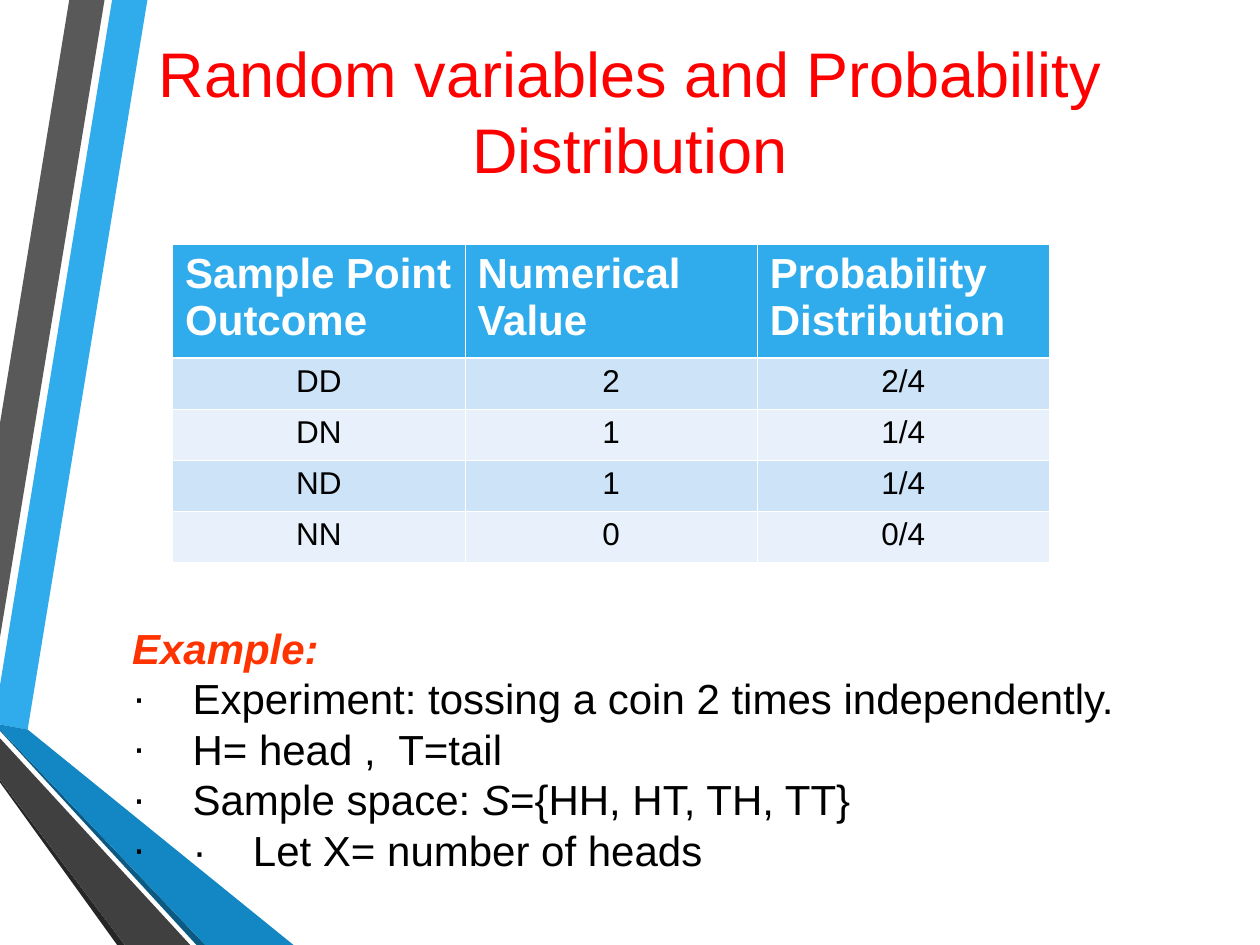
from lxml import etree
from pptx import Presentation
from pptx.dml.color import RGBColor
from pptx.enum.text import MSO_ANCHOR, MSO_AUTO_SIZE, PP_ALIGN
from pptx.oxml.ns import qn
from pptx.util import Inches, Pt

MIDDLE, BOTTOM = MSO_ANCHOR.MIDDLE, MSO_ANCHOR.BOTTOM
CENTER, JUSTIFY, LEFT = PP_ALIGN.CENTER, PP_ALIGN.JUSTIFY, PP_ALIGN.LEFT
NO_AUTOFIT = MSO_AUTO_SIZE.NONE

RED = RGBColor(0xFF, 0x00, 0x00)
ORANGE = RGBColor(0xFF, 0x33, 0x00)
BLACK = RGBColor(0x00, 0x00, 0x00)
WHITE = RGBColor(0xFF, 0xFF, 0xFF)
SKY = RGBColor(0x30, 0xAC, 0xEC)
BLUE = RGBColor(0x12, 0x87, 0xC3)
NAVY = RGBColor(0x0C, 0x5A, 0x82)
GRAY = RGBColor(0x59, 0x59, 0x59)
DARK_GRAY = RGBColor(0x40, 0x40, 0x40)
CHARCOAL = RGBColor(0x26, 0x26, 0x26)
BAND_DARK = RGBColor(0xCD, 0xE3, 0xF8)
BAND_LIGHT = RGBColor(0xE8, 0xF1, 0xFB)

FONT = "Arial"
LINE_FACTOR = 1.2
BULLET_INDENT = Inches(0.48)

RIBBONS = [
    (SKY, [(0, 5.44), (0, 5.75), (0.22, 5.79), (1.17, 0), (0.89, 0)]),
    (GRAY, [(0.83, 0), (0.55, 0), (0, 3.36), (0, 5.06)]),
    (CHARCOAL, [(0, 6.19), (0, 6.21), (0.93, 7.5), (0.99, 7.5)]),
    (NAVY, [(0, 5.79), (0, 5.8), (1.56, 7.5), (1.63, 7.5)]),
    (BLUE, [(0, 5.79), (1.63, 7.5), (2.33, 7.5), (0.22, 5.79), (0, 5.75)]),
    (DARK_GRAY, [(0, 6.19), (0.99, 7.5), (1.51, 7.5), (0, 5.86)]),
]
OUTCOMES = [
    ("Sample Point Outcome", "Numerical Value", "Probability Distribution"),
    ("DD", "2", "2/4"),
    ("DN", "1", "1/4"),
    ("ND", "1", "1/4"),
    ("NN", "0", "0/4"),
]
EXAMPLE_STEPS = [
    ["Experiment: tossing a coin 2 times independently."],
    ["H= head ,  T=tail"],
    ["Sample space: ", "S", "={HH, HT, TH, TT}"],
    ["·\tLet X= number of heads"],
]


def style_font(font, size, color, bold=False, italic=False):
    """Set typeface, size, colour and emphasis."""
    font.name = FONT
    font.size = Pt(size)
    font.color.rgb = color
    font.bold = bold
    font.italic = italic


def add_ribbons(slide, left, top):
    """Draw the folded ribbons from the given corner."""
    for color, points in RIBBONS:
        corners = [(left + Inches(x), top + Inches(y)) for x, y in points]
        builder = slide.shapes.build_freeform(*corners[0])
        builder.add_line_segments(corners[1:], close=True)
        ribbon = builder.convert_to_shape()
        ribbon.shadow.inherit = False
        ribbon.fill.solid()
        ribbon.fill.fore_color.rgb = color
        ribbon.line.fill.background()


def place_title(slide, left, top, width, height):
    """Place the heading above the ribbons."""
    title = slide.shapes.title
    title.left, title.top, title.width, title.height = left, top, width, height
    frame = title.text_frame
    frame.text = "Random variables and Probability Distribution"
    frame.auto_size = NO_AUTOFIT
    frame.vertical_anchor = MIDDLE
    heading = frame.paragraphs[0]
    heading.alignment = CENTER
    heading.line_spacing = Pt(36 * LINE_FACTOR)
    style_font(heading.runs[0].font, 36, RED)
    slide.shapes._spTree.append(title._element)


def add_bullet(paragraph):
    """Give a paragraph a hanging dot and a tab stop one step further in."""
    properties = paragraph._p.get_or_add_pPr()
    properties.set("marL", str(BULLET_INDENT))
    properties.set("indent", str(-BULLET_INDENT))
    etree.SubElement(properties, qn("a:buFont"), typeface=FONT)
    etree.SubElement(properties, qn("a:buChar"), char="·")
    tabs = etree.SubElement(properties, qn("a:tabLst"))
    etree.SubElement(tabs, qn("a:tab"), pos=str(2 * BULLET_INDENT), algn="l")


def add_example(slide, left, top, width, height):
    """Write the coin example at the foot of its box."""
    frame = slide.shapes.add_textbox(left, top, width, height).text_frame
    frame.word_wrap = True
    frame.vertical_anchor = BOTTOM
    frame.margin_bottom = Inches(0.15)
    heading = frame.paragraphs[0]
    heading.text = "Example:"
    style_font(heading.runs[0].font, 24, ORANGE, bold=True, italic=True)
    for parts in EXAMPLE_STEPS:
        step = frame.add_paragraph()
        add_bullet(step)
        for part in parts:
            run = step.add_run()
            run.text = part
            style_font(run.font, 24, BLACK, italic=part == "S")
    for paragraph in frame.paragraphs:
        paragraph.alignment = JUSTIFY
        paragraph.line_spacing = Pt(24 * LINE_FACTOR)


def set_borders(cell, top_width, bottom_width):
    """Draw white cell borders ahead of the fill."""
    properties = cell._tc.get_or_add_tcPr()
    widths = {"L": 0.45, "R": 0.45, "T": top_width, "B": bottom_width}
    for side, width in widths.items():
        border = etree.SubElement(properties, qn(f"a:ln{side}"), w=str(Pt(width)))
        fill = etree.SubElement(border, qn("a:solidFill"))
        etree.SubElement(fill, qn("a:srgbClr"), val=str(WHITE))


def add_outcome_table(slide, left, top, width, height):
    """Tabulate outcomes under a tall header row."""
    header_height = Inches(0.9)
    table = slide.shapes.add_table(
        len(OUTCOMES), len(OUTCOMES[0]), left, top, width, height
    ).table
    body_height = (height - header_height) // (len(OUTCOMES) - 1)
    for r, values in enumerate(OUTCOMES):
        is_header = r == 0
        table.rows[r].height = header_height if is_header else body_height
        band = SKY if is_header else (BAND_LIGHT, BAND_DARK)[r % 2]
        for c, value in enumerate(values):
            cell = table.cell(r, c)
            set_borders(cell, 1.47 if r == 1 else 0.45, 1.47 if is_header else 0.45)
            cell.fill.solid()
            cell.fill.fore_color.rgb = band
            cell.text = value
            entry = cell.text_frame.paragraphs[0]
            entry.alignment = LEFT if is_header else CENTER
            if is_header:
                style_font(entry.runs[0].font, 24, WHITE, bold=True)
            else:
                style_font(entry.runs[0].font, 18, BLACK)


def main():
    """Build and save the slide."""
    presentation = Presentation()
    presentation.slide_width, presentation.slide_height = Inches(10), Inches(7.5)
    slide = presentation.slides.add_slide(presentation.slide_layouts[5])
    add_ribbons(slide, Inches(0), Inches(0))
    place_title(slide, Inches(0.5), Inches(0.5), Inches(9), Inches(0.75))
    add_example(slide, Inches(0.95), Inches(1.59), Inches(9.17), Inches(5.5))
    add_outcome_table(slide, Inches(1.37), Inches(1.94), Inches(6.96), Inches(2.52))
    presentation.save("out.pptx")


if __name__ == "__main__":
    main()
